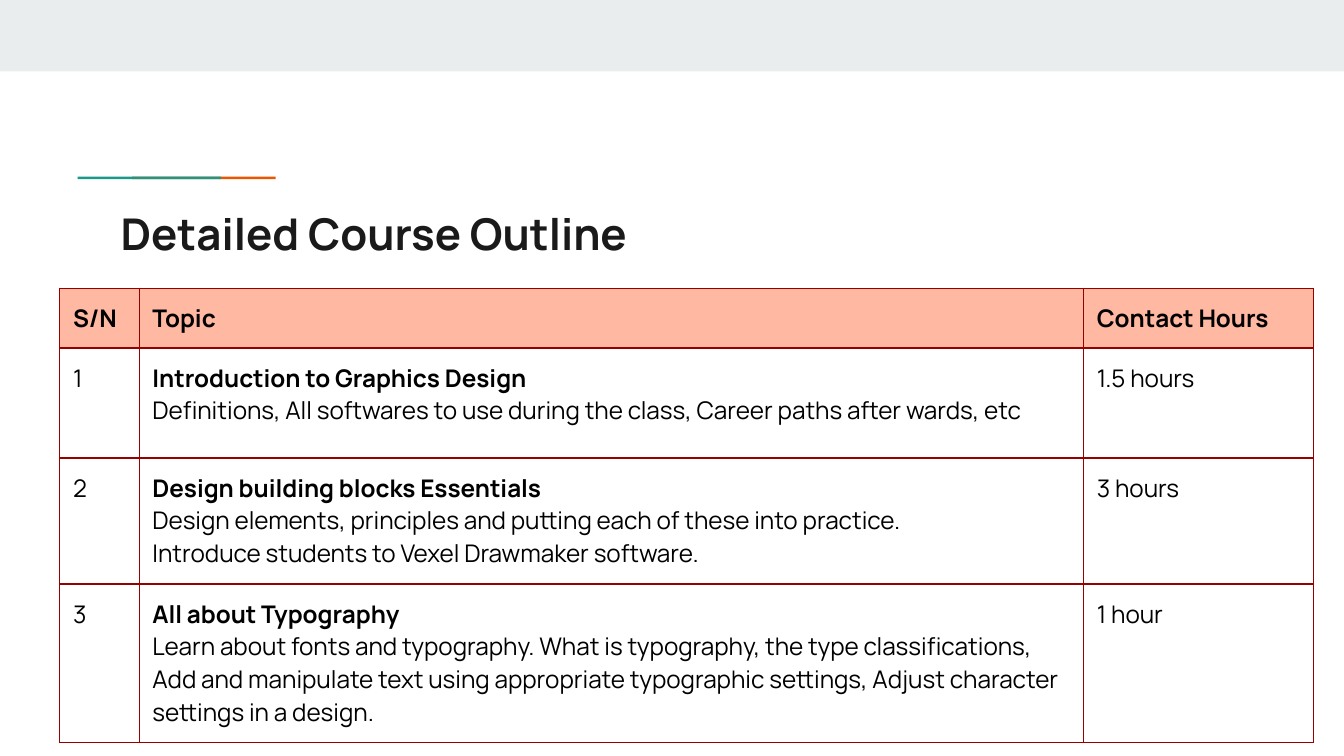
"""Build the course outline slide with its table of topics and hours."""
from lxml.etree import SubElement
from pptx import Presentation
from pptx.dml.color import RGBColor
from pptx.enum.shapes import MSO_SHAPE
from pptx.oxml.ns import qn
from pptx.util import Cm, Pt

FONT = "Manrope"
WHITE = RGBColor(0xFF, 0xFF, 0xFF)
BLACK = RGBColor(0x00, 0x00, 0x00)
INK = RGBColor(0x1A, 0x1A, 0x1A)
GREY = RGBColor(0xE9, 0xED, 0xEE)
TEAL = RGBColor(0x1A, 0x99, 0x88)
ORANGE = RGBColor(0xEB, 0x56, 0x00)
PEACH = RGBColor(0xFF, 0xB8, 0xA2)
RED = RGBColor(0x98, 0x00, 0x00)

INSET = Cm(0.25)
WIDTHS = (1.5, 17.85, 4.35)
HEIGHTS = (1.13, 2.08, 2.38, 3)
HEADS = ("S/N", "Topic", "Contact Hours")
TOPICS = (
    ("Introduction to Graphics Design",
     ("Definitions, All softwares to use during the class, "
      "Career paths after wards, etc",),
     "1.5 hours"),
    ("Design building blocks Essentials",
     ("Design elements, principles and putting each of these into practice.",
      "Introduce students to Vexel Drawmaker software."),
     "3 hours"),
    ("All about Typography",
     ("Learn about fonts and typography. What is typography, the type "
      "classifications, Add and manipulate text using appropriate typographic "
      "settings, Adjust character settings in a design.",),
     "1 hour"),
)


def write(frame, text, size=13, color=BLACK, bold=False, first=True):
    """Put text in the first paragraph of a frame, or in a new one."""
    para = frame.paragraphs[0] if first else frame.add_paragraph()
    run = para.add_run()
    run.text = text
    font = run.font
    font.name, font.size, font.bold = FONT, Pt(size), bold
    font.color.rgb = color


def pad(box):
    """Set equal margins on a cell or a text frame."""
    box.margin_left = box.margin_right = INSET
    box.margin_top = box.margin_bottom = INSET


def bar(slide, left, top, width, height, color):
    """Draw a plain filled bar."""
    shape = slide.shapes.add_shape(
        MSO_SHAPE.RECTANGLE, Cm(left), Cm(top), Cm(width), Cm(height))
    shape.shadow.inherit = False
    shape.fill.solid()
    shape.fill.fore_color.rgb = color
    shape.line.fill.background()


def title(slide, text):
    """Add the slide heading."""
    box = slide.shapes.add_textbox(Cm(2.03), Cm(3.66), Cm(21.36), Cm(1.5))
    frame = box.text_frame
    frame.word_wrap = True
    pad(frame)
    write(frame, text, size=23.4, color=INK, bold=True)


def edge(cell):
    """Line all four sides of a cell."""
    props = cell._tc.get_or_add_tcPr()
    for side in ("lnL", "lnR", "lnT", "lnB"):
        line = SubElement(props, qn(f"a:{side}"), w=str(Pt(0.75)))
        fill = SubElement(line, qn("a:solidFill"))
        SubElement(fill, qn("a:srgbClr"), val=str(RED))


def outline(slide):
    """Add the table of topics."""
    grid = slide.shapes.add_table(
        len(HEIGHTS), len(WIDTHS), Cm(1.13), Cm(5.45),
        Cm(sum(WIDTHS)), Cm(sum(HEIGHTS))).table
    for col, width in zip(grid.columns, WIDTHS):
        col.width = Cm(width)
    for row, height in zip(grid.rows, HEIGHTS):
        row.height = Cm(height)
    for cell in grid.iter_cells():
        pad(cell)
        edge(cell)
        cell.fill.background()
    for col, head in enumerate(HEADS):
        cell = grid.cell(0, col)
        cell.fill.solid()
        cell.fill.fore_color.rgb = PEACH
        write(cell.text_frame, head, bold=True)
    for row, (topic, notes, hours) in enumerate(TOPICS, 1):
        write(grid.cell(row, 0).text_frame, str(row))
        frame = grid.cell(row, 1).text_frame
        write(frame, topic, bold=True)
        for note in notes:
            write(frame, note, first=False)
        write(grid.cell(row, 2).text_frame, hours)


def main():
    """Build and save the slide."""
    deck = Presentation()
    deck.slide_width, deck.slide_height = Cm(25.4), Cm(14.29)
    slide = deck.slides.add_slide(deck.slide_layouts[6])
    slide.background.fill.solid()
    slide.background.fill.fore_color.rgb = WHITE
    bar(slide, 0, 0, 25.4, 1.35, GREY)
    for left, color in ((2.5, ORANGE), (1.47, TEAL)):
        bar(slide, left, 3.34, 2.71, 0.05, color)
    title(slide, "Detailed Course Outline")
    outline(slide)
    deck.save("out.pptx")


if __name__ == "__main__":
    main()
